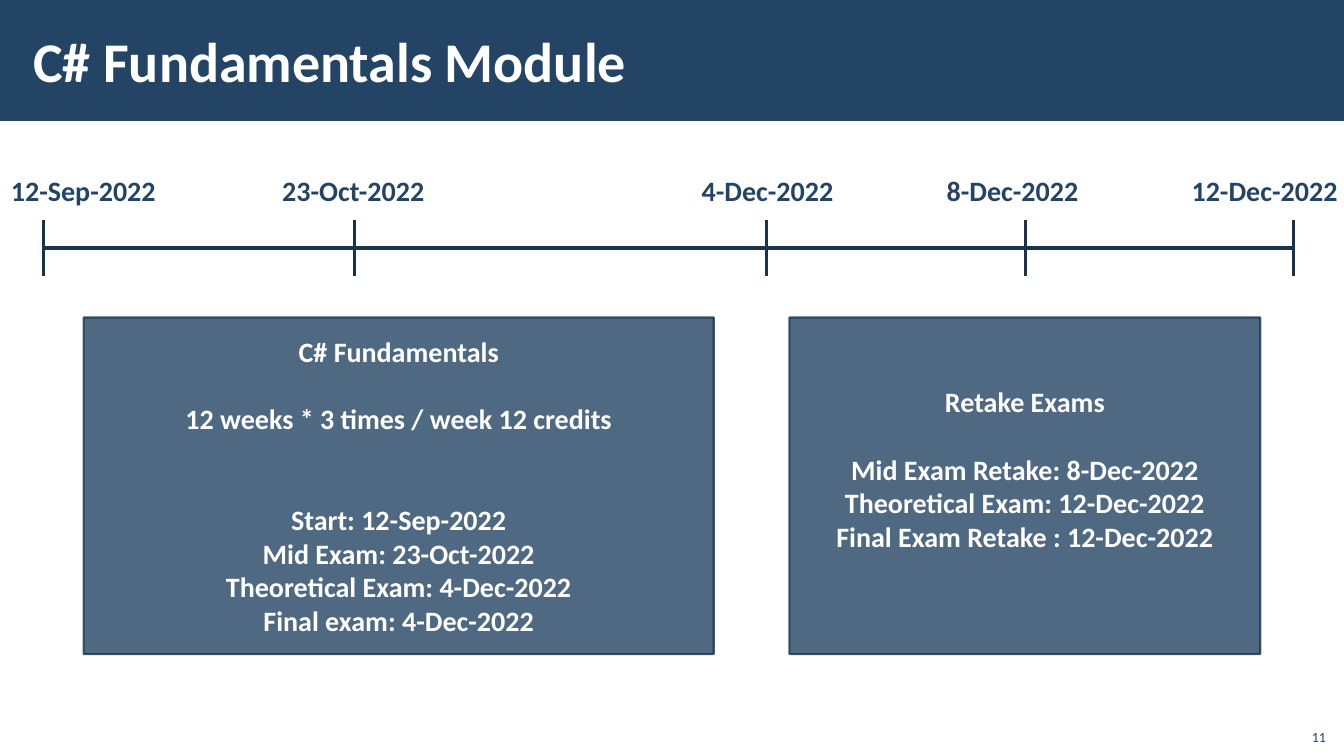
from lxml.etree import SubElement
from pptx import Presentation
from pptx.dml.color import RGBColor
from pptx.enum.shapes import MSO_CONNECTOR, MSO_SHAPE
from pptx.enum.text import MSO_ANCHOR, PP_ALIGN
from pptx.oxml.ns import qn
from pptx.util import Pt

UNIT = 9144  # EMU in one px, 100 px to the inch
NAVY, DARK, WHITE = "234465", "1A334C", "FFFFFF"
LINE = 24  # points taken by one line of 20 pt text


def px(*vals):
    return [val * UNIT for val in vals]


def paint(color, code):
    color.rgb = RGBColor.from_string(code)


def fade(fill, share):
    """Make a solid fill partly see-through; share is in percent."""
    for tone in fill.iter(qn("a:srgbClr")):
        SubElement(tone, qn("a:alpha"), val=str(share * 1000))


def write(frame, rows, size, code, bold=True, align=PP_ALIGN.LEFT,
          anchor=MSO_ANCHOR.TOP):
    """Fill a frame with rows of (text, blank lines above)."""
    frame.word_wrap = True
    frame.vertical_anchor = anchor
    for num, (text, gap) in enumerate(rows):
        para = frame.add_paragraph() if num else frame.paragraphs[0]
        para.text = text
        para.alignment = align
        para.space_before = Pt(gap * LINE)
        for run in para.runs:
            run.font.name = "Calibri"
            run.font.size = Pt(size)
            run.font.bold = bold
            paint(run.font.color, code)


def draw_line(slide, x1, y1, x2, y2):
    line = slide.shapes.add_connector(MSO_CONNECTOR.STRAIGHT, *px(x1, y1, x2, y2))
    paint(line.line.color, DARK)
    line.line.width = Pt(2.25)
    SubElement(line.element.spPr, qn("a:effectLst"))


def add_box(slide, left, top, width, height):
    box = slide.shapes.add_shape(MSO_SHAPE.RECTANGLE, *px(left, top, width, height))
    box.shadow.inherit = False
    box.fill.solid()
    paint(box.fill.fore_color, NAVY)
    return box


def add_head(slide, left, top, width, height, text):
    band = add_box(slide, left, top, width, height)
    band.line.fill.background()
    title = slide.shapes.title
    title.element.addprevious(band.element)  # the band lies under the title
    title.left, title.top, title.width, title.height = px(
        left + 21, top + 11, 1063, height - 23)
    frame = title.text_frame
    frame.margin_left = frame.margin_right = 12 * UNIT
    frame.margin_top = frame.margin_bottom = 4 * UNIT
    write(frame, [(text, 0)], 40, WHITE, anchor=MSO_ANCHOR.MIDDLE)


def add_time(slide, left, top, width, height, dates):
    """Draw an axis with a tick and a label for each (date, tick x, label x)."""
    axis = top + height - 28
    draw_line(slide, left, axis, left + width, axis)
    for date, tick, label in dates:
        draw_line(slide, tick, axis - 28, tick, axis + 28)
        note = slide.shapes.add_textbox(*px(label, top, 161, 44))
        note.text_frame.margin_right = 0
        write(note.text_frame, [(date, 0)], 20, NAVY)


def add_card(slide, left, top, width, height, rows, foot=0):
    """Draw a card of centred rows; foot is the count of blank lines below."""
    card = add_box(slide, left, top, width, height)
    paint(card.line.color, DARK)
    card.line.width = Pt(1.5)
    fade(card.element.spPr, 80)
    card.text_frame.margin_bottom = 5 * UNIT + Pt(foot * LINE)
    write(card.text_frame, rows, 20, WHITE,
          align=PP_ALIGN.CENTER, anchor=MSO_ANCHOR.MIDDLE)


def add_page(slide, left, top, width, height, text):
    page = slide.shapes.add_textbox(*px(left, top, width, height))
    write(page.text_frame, [(text, 0)], 10, NAVY, bold=False,
          align=PP_ALIGN.RIGHT, anchor=MSO_ANCHOR.BOTTOM)


def main():
    deck = Presentation()
    deck.slide_width, deck.slide_height = px(1333, 750)
    slide = deck.slides.add_slide(deck.slide_layouts[5])

    # Title band
    add_head(slide, 0, 0, 1333, 120, "C# Fundamentals Module")

    # Timeline
    add_time(slide, 43, 167, 1240, 107, [
        ("12-Sep-2022", 43, 1),
        ("23-Oct-2022", 352, 270),
        ("4-Dec-2022", 760, 686),
        ("8-Dec-2022", 1017, 929),
        ("12-Dec-2022", 1283, 1172),
    ])

    # Module and retake cards
    add_card(slide, 83, 315, 625, 334, [
        ("C# Fundamentals", 0),
        ("12 weeks * 3 times / week 12 credits", 1),
        ("Start: 12-Sep-2022", 2),
        ("Mid Exam: 23-Oct-2022", 0),
        ("Theoretical Exam: 4-Dec-2022", 0),
        ("Final exam: 4-Dec-2022", 0),
    ])
    add_card(slide, 783, 315, 467, 334, [
        ("Retake Exams", 0),
        ("Mid Exam Retake: 8-Dec-2022", 1),
        ("Тheoretical Exam: 12-Dec-2022", 0),
        ("Final Exam Retake : 12-Dec-2022", 0),
    ], foot=1)

    # Page number
    add_page(slide, 1285, 712, 40, 32, "11")
    deck.save("out.pptx")


if __name__ == "__main__":
    main()
